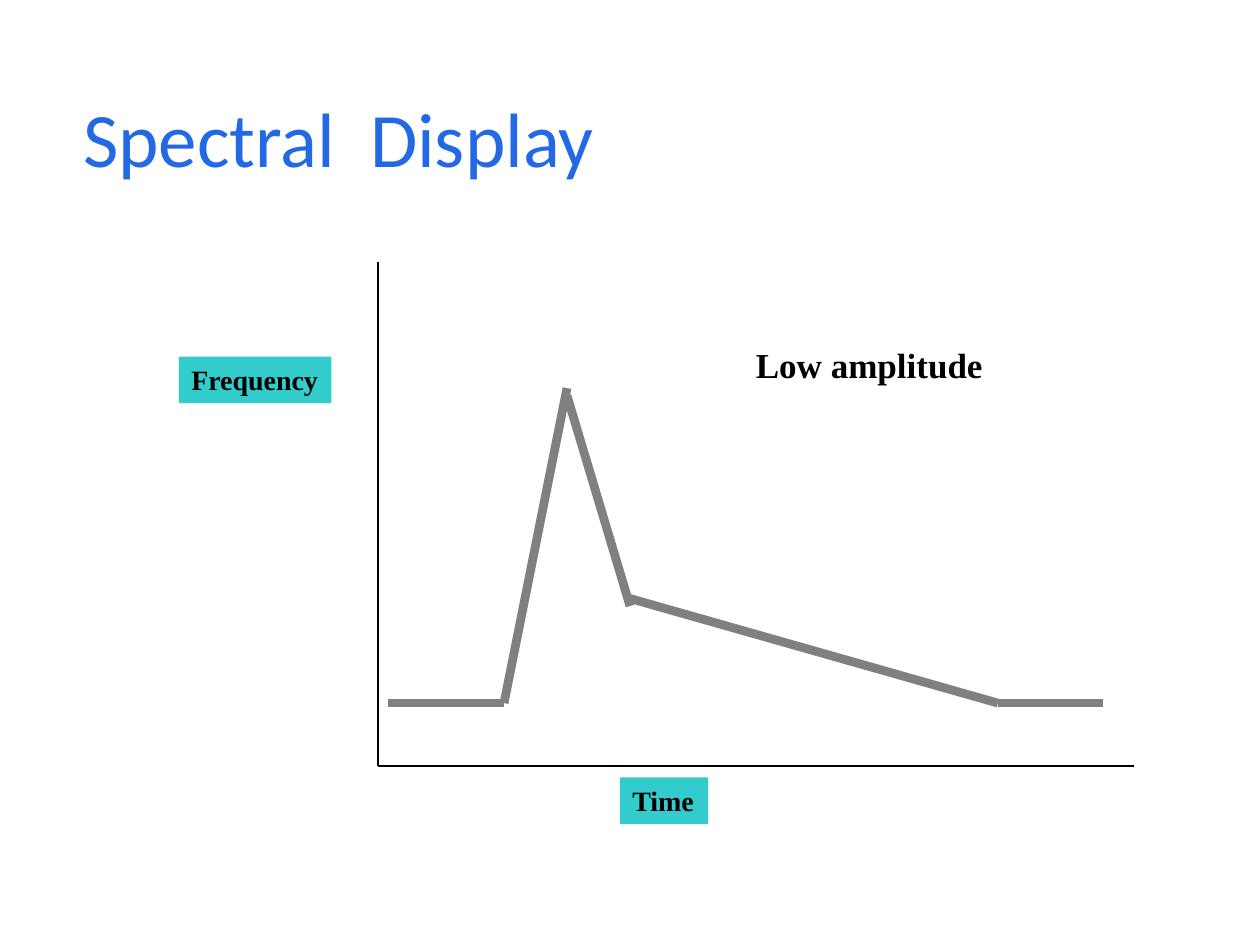
from itertools import pairwise

from lxml.etree import SubElement
from pptx import Presentation
from pptx.dml.color import RGBColor
from pptx.enum.shapes import MSO_CONNECTOR, MSO_SHAPE
from pptx.enum.text import MSO_ANCHOR, PP_ALIGN
from pptx.oxml.ns import qn
from pptx.util import Inches, Pt

COLORS = {"title": "2469E4", "ink": "000000", "trace": "808080", "label": "33CCCC"}
HEADING_FONT = "Calibri"
LABEL_FONT = "Times New Roman"


def color(name):
    return RGBColor.from_string(COLORS[name])


def write(shape, text, font, size, ink, bold=False):
    para = shape.text_frame.paragraphs[0]
    para.alignment = PP_ALIGN.LEFT
    span = para.add_run()
    span.text = text
    span.font.name = font
    span.font.size = Pt(size)
    span.font.bold = bold
    span.font.color.rgb = color(ink)
    return para


def add_title(page, left, top, width, height):
    box = page.shapes.add_textbox(Inches(left), Inches(top), Inches(width), Inches(height))
    frame = box.text_frame
    frame.word_wrap = True
    frame.vertical_anchor = MSO_ANCHOR.MIDDLE
    frame.margin_left = Inches(0.24)
    para = write(box, "Spectral  Display", HEADING_FONT, 44, "title")
    para.line_spacing = 0.9


def add_line(page, start, end, ink, weight):
    line = page.shapes.add_connector(
        MSO_CONNECTOR.STRAIGHT, *(Inches(value) for value in (*start, *end)))
    line.line.color.rgb = color(ink)
    line.line.width = Pt(weight)
    SubElement(line._element.spPr, qn("a:effectLst"))


def add_label(page, text, left, top, width, height, size=16, fill="label"):
    """Place one bold line of text, on a filled rectangle unless fill is None."""
    bounds = [Inches(value) for value in (left, top, width, height)]
    if fill:
        label = page.shapes.add_shape(MSO_SHAPE.RECTANGLE, *bounds)
        label.shadow.inherit = False
        label.fill.solid()
        label.fill.fore_color.rgb = color(fill)
        label.line.fill.background()
    else:
        label = page.shapes.add_textbox(*bounds)
    label.text_frame.word_wrap = False
    label.text_frame.vertical_anchor = MSO_ANCHOR.TOP
    write(label, text, LABEL_FONT, size, "ink", bold=True)


def add_spectral_plot(page, left, top, width, height):
    """Draw the axes, the waveform and its labels; left, top is the top of the y axis."""
    bottom = top + height
    origin = (left, bottom)
    add_line(page, (left, top), origin, "ink", 0.75)
    add_line(page, origin, (left + width, bottom), "ink", 0.75)

    baseline = bottom - 0.5
    peak_x, notch_x = left + 1.5, left + 2
    rise = [(left + 0.08, baseline), (left + 1, baseline), (peak_x, top + 1)]
    fall = [(peak_x, top + 1.06), (notch_x, top + 2.73)]
    decay = [(notch_x, top + 2.67), (left + 4.92, baseline), (left + 5.75, baseline)]
    for stretch in (rise, fall, decay):
        for start, end in pairwise(stretch):
            add_line(page, start, end, "trace", 5)

    add_label(page, "Frequency", left - 1.58, top + 0.75, 1.21, 0.37)
    add_label(page, "Time", left + 1.92, bottom + 0.09, 0.7, 0.37)
    add_label(page, "Low amplitude", left + 2.9, top + 0.6, 2.02, 0.44, size=20, fill=None)


def main():
    deck = Presentation()
    deck.slide_width, deck.slide_height = Inches(10), Inches(7.5)
    page = deck.slides.add_slide(deck.slide_layouts[6])
    add_title(page, 0.42, 0.67, 9, 0.92)
    add_spectral_plot(page, 3, 2.08, 6, 4)
    deck.save("out.pptx")


if __name__ == "__main__":
    main()
